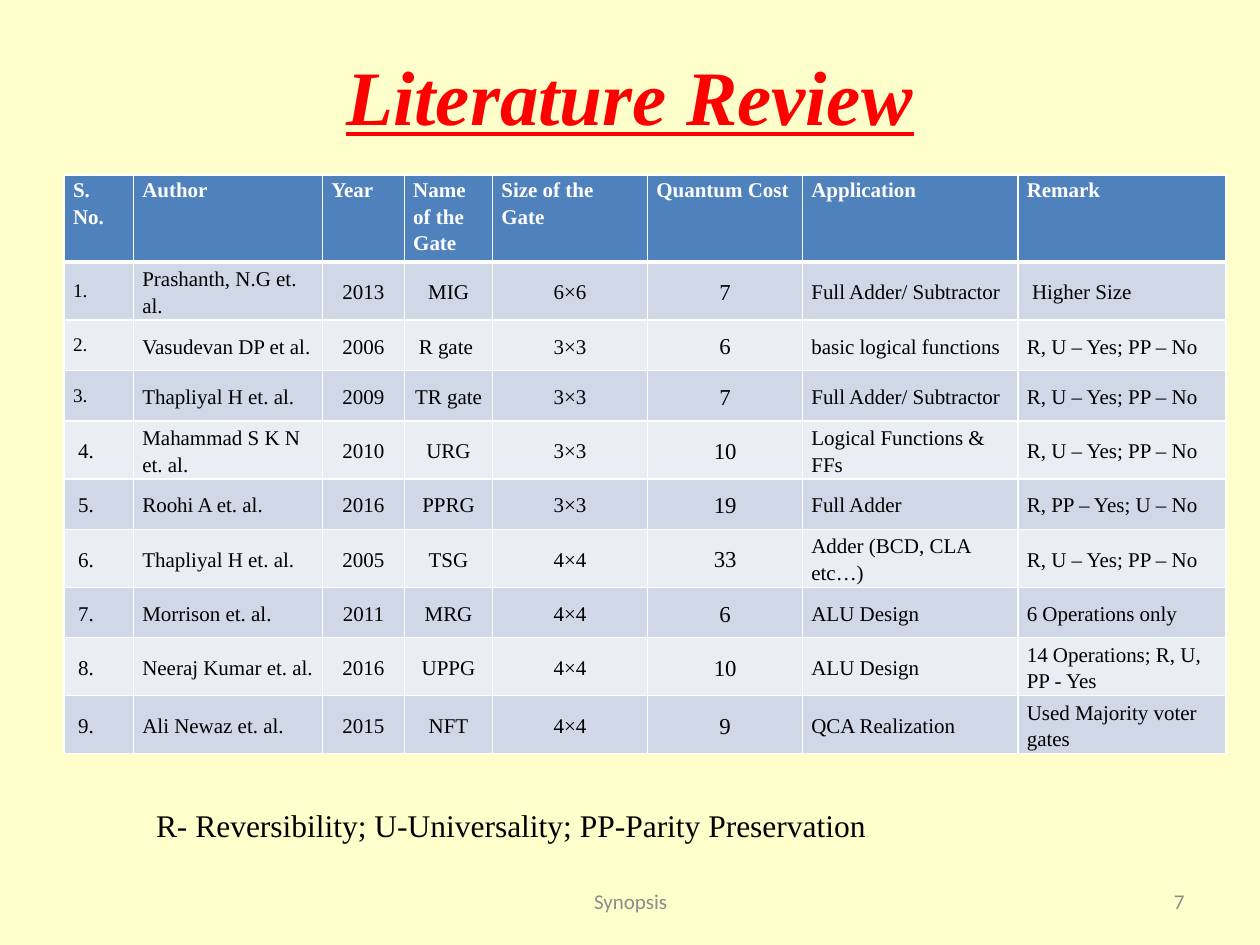
"""Build the literature review slide comparing reversible logic gates."""
import pptx
import pptx.dml.color
import pptx.enum.text
import pptx.oxml
import pptx.oxml.ns
import pptx.util
from dataclasses import dataclass

Inches, Pt = pptx.util.Inches, pptx.util.Pt
Align = pptx.enum.text.PP_ALIGN
Anchor = pptx.enum.text.MSO_ANCHOR

TITLE = "Literature Review"
LEGEND = "R- Reversibility; U-Universality; PP-Parity Preservation"
FOOTER = "Synopsis"
PAGE = "7"

HEADINGS = ("S. No.", "Author", "Year", "Name of the Gate", "Size of the Gate",
            "Quantum Cost", "Application", "Remark")
STUDIES = [
    ("1.", "Prashanth, N.G et. al.", "2013", "MIG", "6×6", "7", "Full Adder/ Subtractor", " Higher Size"),
    ("2.", "Vasudevan DP et al.", "2006", "R gate ", "3×3", "6", "basic logical functions", "R, U – Yes; PP – No"),
    ("3.", "Thapliyal H et. al.", "2009", "TR gate ", "3×3", "7", "Full Adder/ Subtractor", "R, U – Yes; PP – No"),
    (" 4.", "Mahammad S K N et. al.", "2010", "URG", "3×3", "10", "Logical Functions & FFs", "R, U – Yes; PP – No"),
    (" 5.", "Roohi A et. al.", "2016", "PPRG", "3×3", "19", "Full Adder", "R, PP – Yes; U – No"),
    (" 6.", "Thapliyal H et. al.", "2005", "TSG", "4×4", "33", "Adder (BCD, CLA etc…)", "R, U – Yes; PP – No"),
    (" 7.", "Morrison et. al.", "2011", "MRG", "4×4", "6", "ALU Design", "6 Operations only"),
    (" 8.", "Neeraj Kumar et. al.", "2016", "UPPG", "4×4", "10", "ALU Design", "14 Operations; R, U, PP - Yes"),
    (" 9.", "Ali Newaz et. al.", "2015", "NFT", "4×4", "9", "QCA Realization", "Used Majority voter gates"),
]
COLUMN_WIDTHS = (0.55, 1.5, 0.65, 0.7, 1.23, 1.23, 1.71, 1.65)
HEADER_HEIGHT, STUDY_HEIGHT = 0.46, 0.4
TABLE_LEFT, TABLE_TOP = 0.51, 1.39
CENTRED_COLUMNS = range(2, 6)
COST_COLUMN = 5
COMPACT_ROWS = range(1, 4)


@dataclass(frozen=True)
class Theme:
    serif: str = "Times New Roman"
    sans: str = "Calibri"
    background: str = "FFFFCC"
    title: str = "FF0000"
    ink: str = "000000"
    muted: str = "8C8C8C"
    header: str = "4F81BD"
    white: str = "FFFFFF"
    bands: tuple = ("D0D8E8", "E9EDF4")
    title_size: int = 44
    legend_size: int = 18
    body_size: int = 12
    cost_size: int = 13
    number_size: int = 11
    rule: int = 1
    header_rule: int = 3


THEME = Theme()


def rgb(value):
    return pptx.dml.color.RGBColor.from_string(value)


def write(frame, words, size, color, font=THEME.serif, align=Align.LEFT, bold=False):
    paragraph = frame.paragraphs[0]
    paragraph.alignment = align
    run = paragraph.add_run()
    run.text = words
    run.font.name, run.font.size, run.font.bold = font, Pt(size), bold
    run.font.color.rgb = rgb(color)
    return paragraph, run


def add_label(slide, box, words, size, color, wrap=True, anchor=Anchor.MIDDLE, **style):
    frame = slide.shapes.add_textbox(*map(Inches, box)).text_frame
    frame.word_wrap = wrap
    frame.vertical_anchor = anchor
    return write(frame, words, size, color, **style)[1]


def add_borders(cell, widths):
    properties = cell._tc.get_or_add_tcPr()
    for side, width in zip("LRTB", widths):
        properties.append(pptx.oxml.parse_xml(
            f'<a:ln{side} {pptx.oxml.ns.nsdecls("a")} w="{Pt(width)}"><a:solidFill>'
            f'<a:srgbClr val="{THEME.white}"/></a:solidFill></a:ln{side}>'))


def fill_cell(cell, row, column, words):
    heading = row == 0
    compact = column == 0 and row in COMPACT_ROWS
    size = THEME.body_size
    if compact:
        size = THEME.number_size
    elif column == COST_COLUMN and not heading:
        size = THEME.cost_size
    add_borders(cell, (THEME.rule, THEME.rule,
                       THEME.header_rule if row == 1 else THEME.rule,
                       THEME.header_rule if heading else THEME.rule))
    cell.fill.solid()
    cell.fill.fore_color.rgb = rgb(THEME.header if heading else THEME.bands[(row - 1) % 2])
    cell.margin_left = cell.margin_right = Inches(0.07)
    cell.margin_top = cell.margin_bottom = 0
    cell.vertical_anchor = Anchor.TOP if heading else Anchor.MIDDLE
    centred = column in CENTRED_COLUMNS and not heading
    paragraph, _ = write(cell.text_frame, words, size, THEME.white if heading else THEME.ink,
                         align=Align.CENTER if centred else Align.LEFT, bold=heading)
    paragraph.line_spacing = 1.0 if compact else 1.15


def add_review(slide):
    records = [HEADINGS, *STUDIES]
    heights = [HEADER_HEIGHT] + [STUDY_HEIGHT] * len(STUDIES)
    box = (TABLE_LEFT, TABLE_TOP, sum(COLUMN_WIDTHS), sum(heights))
    review = slide.shapes.add_table(len(records), len(HEADINGS), *map(Inches, box)).table
    for column, width in zip(review.columns, COLUMN_WIDTHS):
        column.width = Inches(width)
    for row, height in zip(review.rows, heights):
        row.height = Inches(height)
    for row, record in enumerate(records):
        for column, words in enumerate(record):
            fill_cell(review.cell(row, column), row, column, words)


def main():
    deck = pptx.Presentation()
    deck.slide_width, deck.slide_height = Inches(10), Inches(7.5)
    slide = deck.slides.add_slide(deck.slide_layouts[6])
    slide.background.fill.solid()
    slide.background.fill.fore_color.rgb = rgb(THEME.background)

    title = add_label(slide, (0, 0.13, 10, 1.25), TITLE, THEME.title_size, THEME.title,
                      align=Align.CENTER, bold=True)
    title.font.italic = title.font.underline = True
    add_review(slide)
    add_label(slide, (1.14, 6.35, 5.9, 0.4), LEGEND, THEME.legend_size, THEME.ink,
              wrap=False, anchor=Anchor.TOP)
    add_label(slide, (3.42, 6.95, 3.17, 0.4), FOOTER, THEME.body_size, THEME.muted,
              font=THEME.sans, align=Align.CENTER)
    add_label(slide, (7.17, 6.95, 2.33, 0.4), PAGE, THEME.body_size, THEME.muted,
              font=THEME.sans, align=Align.RIGHT)
    deck.save("out.pptx")


if __name__ == "__main__":
    main()
